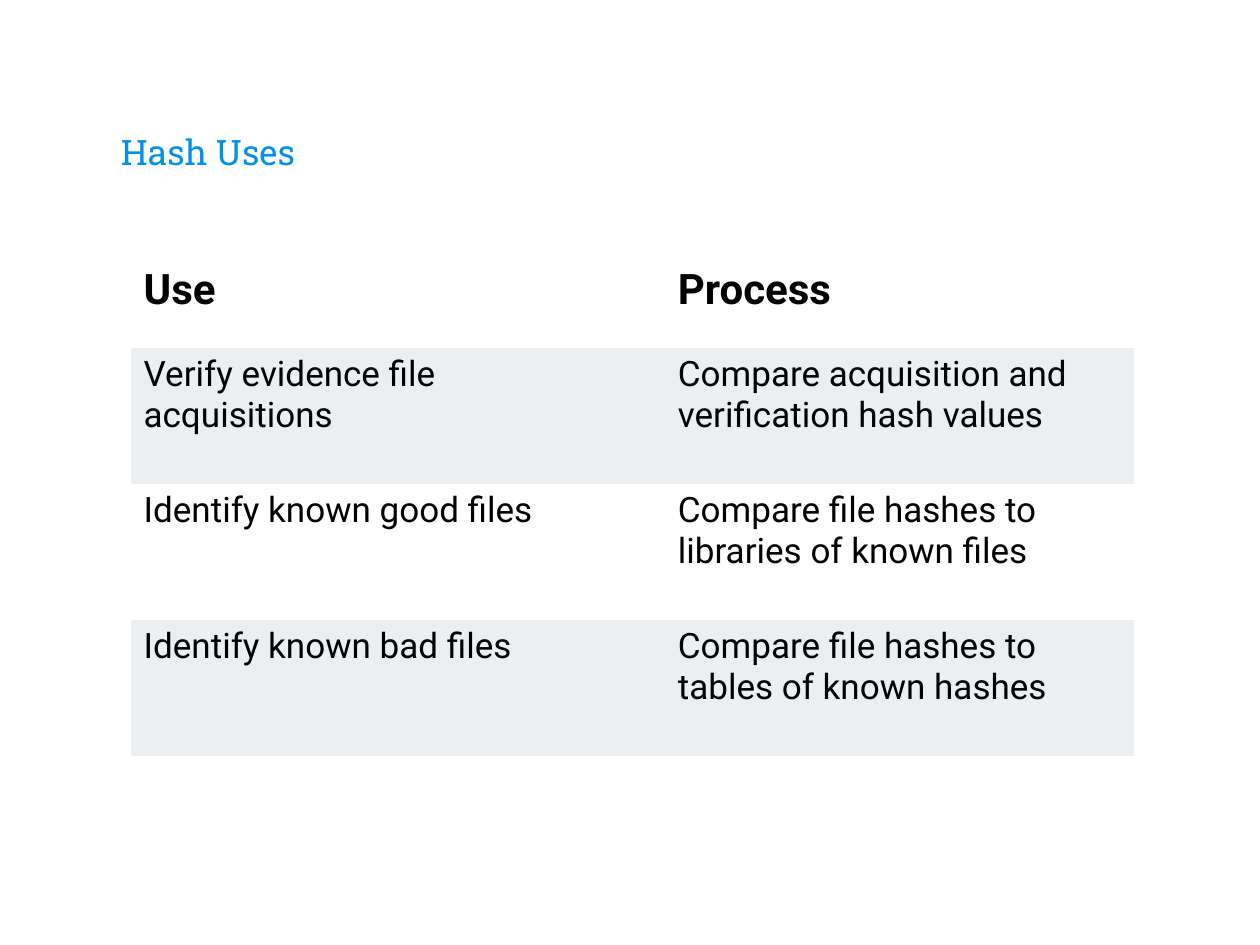
from pptx import Presentation, util as u
from pptx.dml.color import RGBColor
from pptx.enum import text

THEME = {
    "title": {"name": "Roboto Slab", "size": u.Pt(20), "bold": False},
    "header": {"name": "Roboto", "size": u.Pt(24), "bold": True},
    "body": {"name": "Roboto", "size": u.Pt(20), "bold": False},
    "blue": RGBColor.from_string("0091EA"),
    "black": RGBColor.from_string("000000"),
    "band": RGBColor.from_string("ECEFF1"),
    "no_grid": "{2D5ABB26-0587-4C30-8999-92F81FD0307C}",
}


def format_font(font, style, color):
    for name, value in THEME[style].items():
        setattr(font, name, value)
    font.color.rgb = THEME[color]


prs = Presentation()
prs.slide_width, prs.slide_height = u.Inches(10), u.Inches(7.5)
s = prs.slides.add_slide(prs.slide_layouts[5])

# Title
title = s.shapes.title
title.left, title.top = u.Inches(0.86), u.Inches(0.45)
title.width, title.height = u.Inches(8.28), u.Inches(1.02)
tf = title.text_frame
tf.text = "Hash Uses"
tf.vertical_anchor = text.MSO_ANCHOR.BOTTOM
for side in ("left", "top", "right", "bottom"):
    setattr(tf, f"margin_{side}", u.Inches(0.1))
p = tf.paragraphs[0]
p.alignment = text.PP_ALIGN.LEFT
format_font(p.runs[0].font, "title", "blue")

# Table: the narrow middle column is a gap between use and process
rows = [
    ("Use", "", "Process"),
    ("Verify evidence file acquisitions", "",
     "Compare acquisition and verification hash values"),
    ("Identify known good files", "",
     "Compare file hashes to libraries of known files"),
    ("Identify known bad files", "",
     "Compare file hashes to tables of known hashes"),
]
col_widths = (3.59, 0.65, 3.72)
row_heights = (0.7, 1.08, 1.08, 1.08)
frame = s.shapes.add_table(
    len(rows), len(col_widths), u.Inches(1.04), u.Inches(2.06),
    u.Inches(sum(col_widths)), u.Inches(sum(row_heights)))
table = frame.table
table._tbl.tblPr.find("{*}tableStyleId").text = THEME["no_grid"]
for col, width in zip(table.columns, col_widths):
    col.width = u.Inches(width)

for i, (row, height) in enumerate(zip(rows, row_heights)):
    table.rows[i].height = u.Inches(height)
    for j, words in enumerate(row):
        cell = table.cell(i, j)
        # Every second row is banded
        if i % 2:
            cell.fill.solid()
            cell.fill.fore_color.rgb = THEME["band"]
        else:
            cell.fill.background()
        if words:
            r = cell.text_frame.paragraphs[0].add_run()
            r.text = words
            format_font(r.font, "body" if i else "header", "black")

prs.save("out.pptx")
